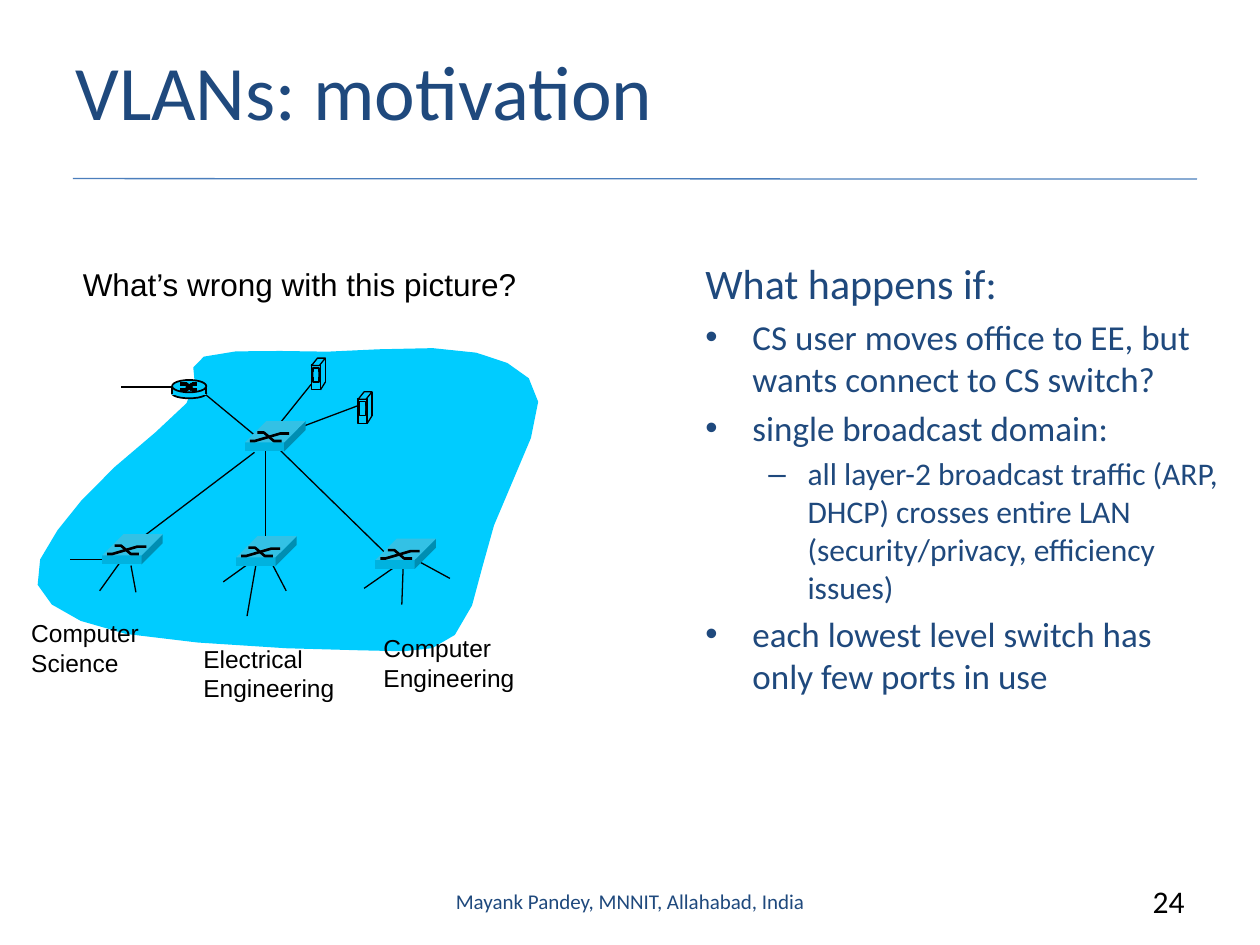
import pptx
import pptx.dml.color
import pptx.enum.shapes
import pptx.enum.text
import pptx.oxml
import pptx.oxml.ns
import pptx.util

Cm, Pt = pptx.util.Cm, pptx.util.Pt
RGBColor = pptx.dml.color.RGBColor
KIND = pptx.enum.shapes.MSO_SHAPE
ALIGN = pptx.enum.text.PP_ALIGN
ANCHOR = pptx.enum.text.MSO_ANCHOR

NAVY = RGBColor(0x1F, 0x49, 0x7D)
BLACK = RGBColor(0, 0, 0)
RULE = RGBColor(0x4B, 0x7E, 0xBC)
CYAN = RGBColor(0, 0xCC, 0xFF)
FRONT = RGBColor(0, 0xB2, 0xDF)

# Cloud outline: a start point, then two handles and an end per curve
START = (10.85, 8.10)
CURVES = [
    ((10.80, 7.52), (10.31, 7.29), (9.60, 7.11)),
    ((8.92, 6.93), (7.52, 7.06), (6.60, 7.09)),
    ((5.69, 7.09), (4.57, 7.01), (4.11, 7.19)),
    ((3.63, 7.37), (4.17, 7.65), (3.76, 8.13)),
    ((3.35, 8.61), (2.13, 9.47), (1.65, 10.08)),
    ((1.14, 10.69), (0.61, 11.33), (0.76, 11.79)),
    ((0.91, 12.22), (1.45, 12.55), (2.54, 12.78)),
    ((3.61, 12.98), (6.15, 13.11), (7.24, 13.11)),
    ((8.36, 13.13), (8.71, 13.21), (9.17, 12.80)),
    ((9.63, 12.37), (9.68, 11.35), (9.96, 10.59)),
    ((10.24, 9.80), (10.90, 8.69), START),
]
LINKS = [
    (2.26, 11.28, 1.42, 11.28), (2.41, 11.35, 2.01, 11.91),
    (2.64, 11.40, 2.74, 11.94), (5.03, 11.35, 4.50, 11.73),
    (5.16, 11.38, 4.98, 12.42), (5.44, 11.28, 5.77, 11.91),
    (8.00, 11.40, 7.34, 11.86), (8.13, 11.35, 8.10, 12.19),
    (8.28, 11.23, 9.07, 11.66), (5.13, 9.12, 2.62, 11.02),
    (5.35, 9.09, 5.35, 11.07), (7.82, 11.20, 5.59, 9.02),
    (5.72, 8.74, 7.21, 8.18), (5.46, 8.76, 6.27, 7.75),
    (4.14, 7.95, 5.18, 8.81), (3.48, 7.80, 2.44, 7.80),
]
SERVERS = [(7.22, 7.90), (6.28, 7.22)]
SWITCHES = [(4.94, 8.92), (2.06, 11.20), (4.76, 11.24), (7.57, 11.29)]
LABELS = [
    (0.38, 12.34, 2.84, 1.45, 14, "Computer\nScience"),
    (3.85, 12.85, 3.18, 1.45, 14, "Electrical\nEngineering"),
    (7.48, 12.64, 3.18, 1.45, 14, "Computer\nEngineering"),
    (1.42, 5.21, 9.98, 1.02, 18, "What’s wrong with this picture?"),
]
# Text, size, bullet, left indent, hanging indent
POINTS = [
    ("What happens if:", 24, None, 0.95, 0.95),
    ("CS user moves office to EE, but wants connect to CS switch?",
     20, "•", 0.95, 0.95),
    ("single broadcast domain:", 20, "•", 0.95, 0.95),
    ("all layer-2 broadcast traffic (ARP, DHCP) crosses entire LAN "
     "(security/privacy, efficiency issues)", 18, "–", 2.06, 0.79),
    ("each lowest level switch has only few ports in use",
     20, "•", 0.95, 0.95),
]


def paint(shape, fill=None, width=None):
    shape.shadow.inherit = False
    if fill is None:
        shape.fill.background()
    else:
        shape.fill.solid()
        shape.fill.fore_color.rgb = fill
    if width is None:
        shape.line.fill.background()
    else:
        shape.line.color.rgb = BLACK
        shape.line.width = Pt(width)


def line(slide, x1, y1, x2, y2, color=BLACK, width=0.75):
    link = slide.shapes.add_connector(
        pptx.enum.shapes.MSO_CONNECTOR.STRAIGHT,
        Cm(x1), Cm(y1), Cm(x2), Cm(y2))
    link.line.color.rgb = color
    link.line.width = Pt(width)
    props = link._element.spPr
    props.append(props.makeelement(pptx.oxml.ns.qn("a:effectLst"), {}))


def block(slide, kind, x, y, w, h, width=None, fill=CYAN, adjust=None):
    shape = slide.shapes.add_shape(kind, Cm(x), Cm(y), Cm(w), Cm(h))
    if adjust is not None:
        shape.adjustments[0] = adjust
    paint(shape, fill, width)


def outline(slide, points, fill=None, width=None):
    """Join points with straight parts; close the path if it is filled."""
    spots = [(Cm(x), Cm(y)) for x, y in points]
    pen = slide.shapes.build_freeform(*spots[0])
    pen.add_line_segments(spots[1:], close=fill is not None)
    paint(pen.convert_to_shape(), fill, width)


def cloud(slide, steps=3):
    points = [START]
    for one, two, end in CURVES:
        begin = points[-1]
        for step in range(1, steps + 1):
            t = step / steps
            u = 1 - t
            points.append(tuple(
                u**3 * a + 3 * u * u * t * b + 3 * u * t * t * c + t**3 * d
                for a, b, c, d in zip(begin, one, two, end)))
    outline(slide, points[:-1], CYAN)


def server(slide, x, y):
    block(slide, KIND.PARALLELOGRAM, x, y + 0.48, 0.28, 0.15, adjust=0.81)
    block(slide, KIND.RECTANGLE, x + 0.14, y, 0.14, 0.5)
    block(slide, KIND.RECTANGLE, x, y + 0.13, 0.18, 0.51, 0.75)
    block(slide, KIND.PARALLELOGRAM, x, y, 0.28, 0.15, 0.75, adjust=0.81)
    line(slide, x + 0.28, y, x + 0.28, y + 0.48)
    line(slide, x + 0.28, y + 0.48, x + 0.18, y + 0.64)
    block(slide, KIND.RECTANGLE, x + 0.03, y + 0.2, 0.12, 0.28, 0.75)
    block(slide, KIND.RECTANGLE, x + 0.04, y + 0.28, 0.1, 0.1)


def router(slide, x, y):
    block(slide, KIND.OVAL, x, y + 0.17, 0.69, 0.2, 1)
    block(slide, KIND.RECTANGLE, x, y + 0.17, 0.69, 0.13)
    for edge in (x, x + 0.69):
        line(slide, edge, y + 0.13, edge, y + 0.28, width=1)
    block(slide, KIND.OVAL, x, y, 0.69, 0.25, 1)
    high, low = y + 0.08, y + 0.2
    for near, far in ((high, low), (low, high)):
        line(slide, x + 0.16, near, x + 0.29, near, width=2.25)
        line(slide, x + 0.28, near, x + 0.41, far, width=2.25)
        line(slide, x + 0.4, far, x + 0.51, far, width=2.25)


def switch(slide, x, y, wide=0.79, tall=0.18, deep=0.43):
    high = tall + deep
    block(slide, KIND.CUBE, x, y - deep, wide + deep, high,
          fill=FRONT, adjust=deep / high)
    for curve in (((0.1, 0.03), (0.2, 0.03), (0.71, 0.18), (0.89, 0.18)),
                  ((0.25, 0.2), (0.38, 0.2), (0.58, 0.03), (0.74, 0.03))):
        outline(slide, [(x + a, y - b) for a, b in curve], width=1.5)


def text(slide, x, y, w, h, words, size, color=BLACK, font="Calibri",
         align=ALIGN.LEFT, anchor=ANCHOR.TOP, wrap=True):
    frame = slide.shapes.add_textbox(Cm(x), Cm(y), Cm(w), Cm(h)).text_frame
    frame.word_wrap = wrap
    frame.vertical_anchor = anchor
    frame.text = words
    for par in frame.paragraphs:
        par.alignment = align
        style(par, size, color, font)
    return frame


def style(par, size, color, font):
    for run in par.runs:
        run.font.size = Pt(size)
        run.font.name = font
        run.font.color.rgb = color


def points(slide):
    frame = text(slide, 13.97, 5.07, 10.87, 10.82,
                 "\n".join(point[0] for point in POINTS), 20, NAVY)
    for par, (_, size, mark, left, hang) in zip(frame.paragraphs, POINTS):
        props = par._p.get_or_add_pPr()
        props.set("marL", str(Cm(left)))
        props.set("indent", str(-Cm(hang)))
        if mark:
            par.space_before = Pt(size * 0.2)
            for tag, key, value in (("a:buFont", "typeface", "Arial"),
                                    ("a:buChar", "char", mark)):
                props.append(props.makeelement(pptx.oxml.ns.qn(tag),
                                               {key: value}))
        style(par, size, NAVY, "Calibri")


def main():
    deck = pptx.Presentation()
    deck.slide_width, deck.slide_height = Cm(25.4), Cm(19.05)
    slide = deck.slides.add_slide(deck.slide_layouts[6])
    line(slide, 1.47, 3.6, 24.13, 3.61, RULE)
    text(slide, 1.27, 0.22, 22.86, 3.18, "VLANs: motivation", 44, NAVY,
         anchor=ANCHOR.MIDDLE)
    points(slide)
    cloud(slide)
    for link in LINKS:
        line(slide, *link)
    for spot in SERVERS:
        server(slide, *spot)
    router(slide, 3.47, 7.66)
    for spot in SWITCHES:
        switch(slide, *spot)
    for x, y, w, h, size, words in LABELS:
        text(slide, x, y, w, h, words, size, font="Arial", wrap=False)
    text(slide, 8.68, 17.65, 8.05, 1.02,
         "Mayank Pandey, MNNIT, Allahabad, India", 12, NAVY,
         align=ALIGN.CENTER, anchor=ANCHOR.MIDDLE)
    text(slide, 22.23, 17.65, 1.9, 1.02, "24", 18, align=ALIGN.RIGHT)
    deck.save("out.pptx")


if __name__ == "__main__":
    main()
